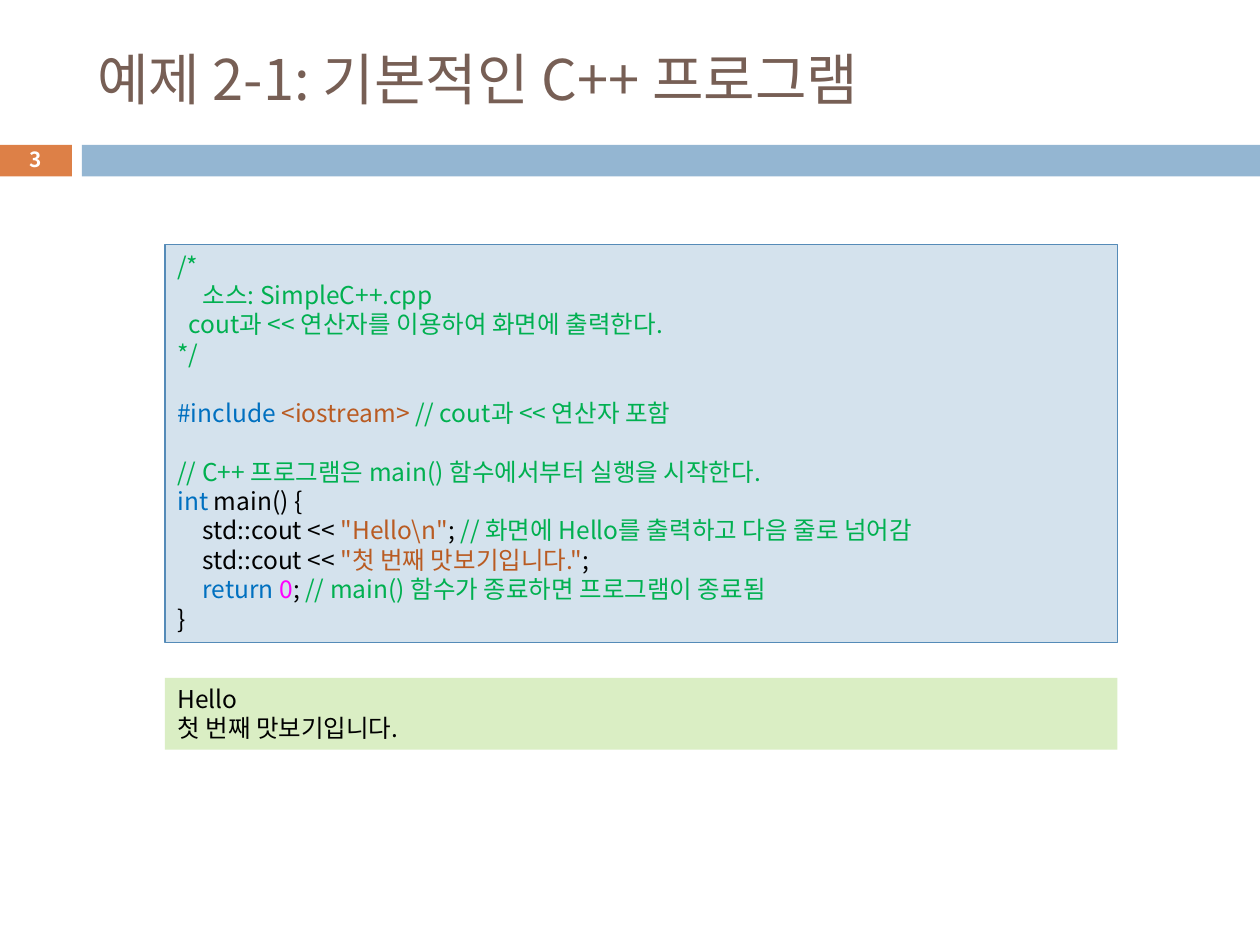
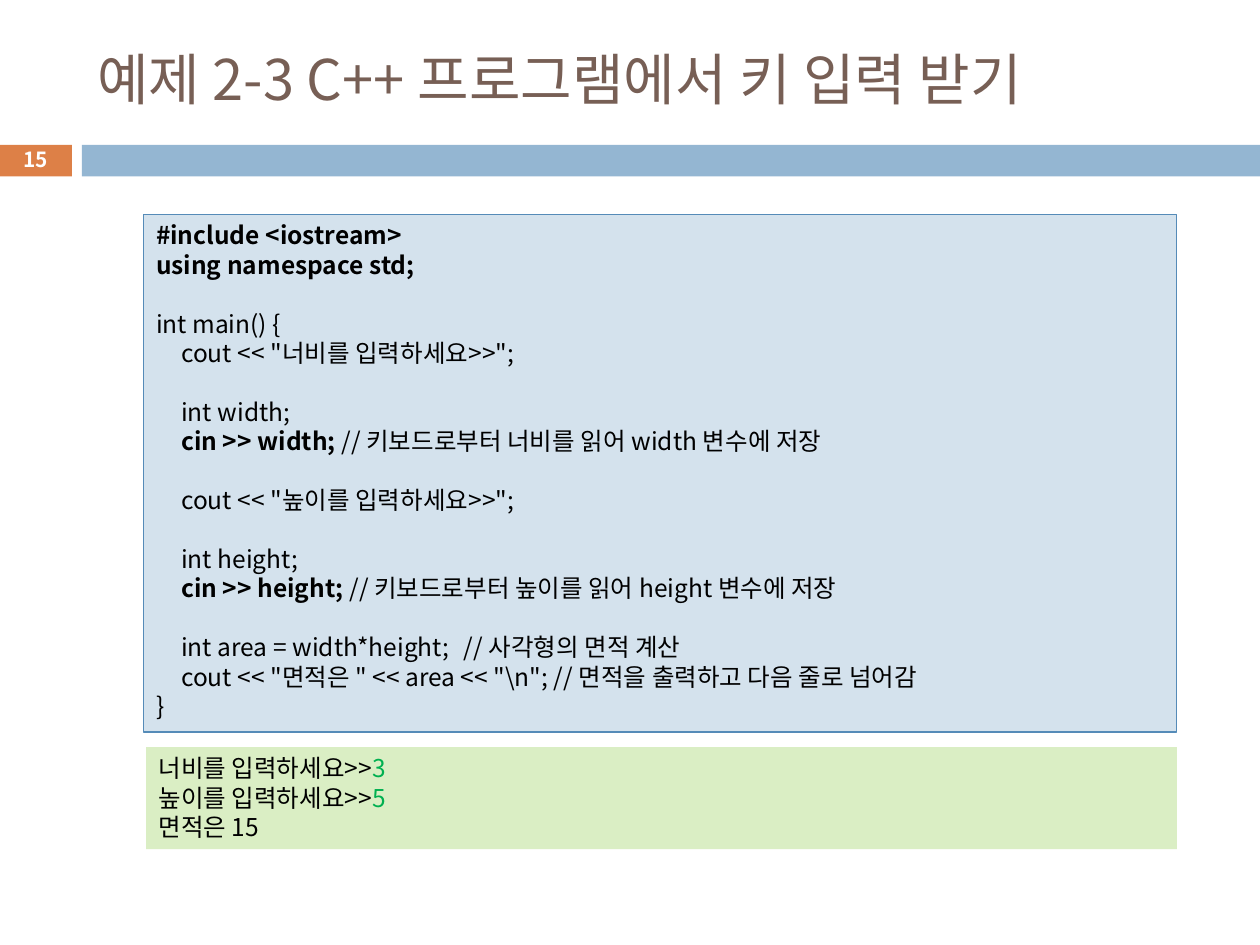
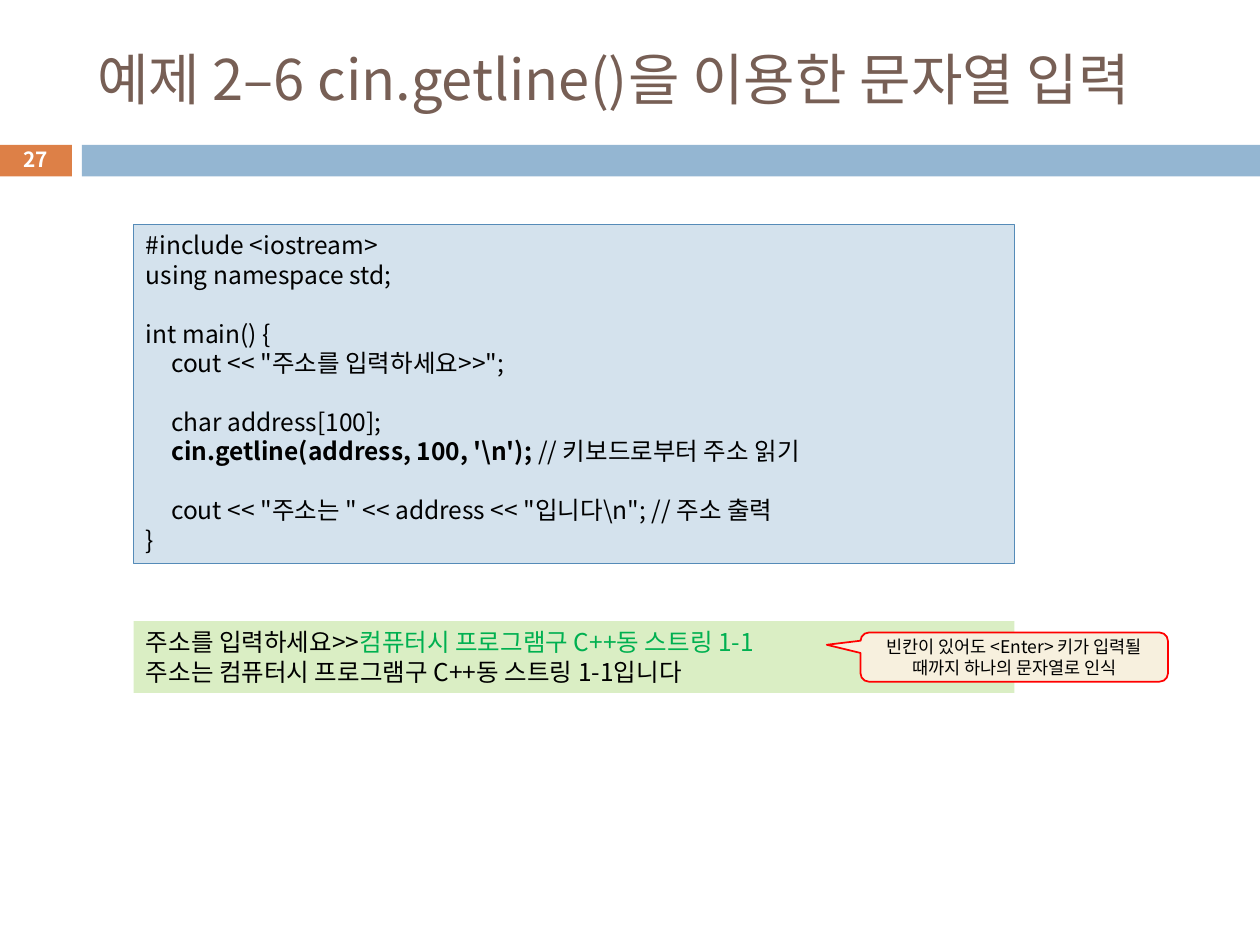
from lxml.etree import SubElement
from pptx import Presentation
from pptx.dml.color import RGBColor
from pptx.enum.shapes import MSO_SHAPE as SHAPE
from pptx.enum.text import MSO_ANCHOR as ANCHOR, MSO_AUTO_SIZE as AUTO, PP_ALIGN as ALIGN
from pptx.oxml.ns import qn
from pptx.util import Inches, Pt

FONT = "Noto Sans CJK KR"
BLACK, WHITE, TITLE = "000000", "FFFFFF", "775F55"
ORANGE, BAND = "DD8047", "94B6D2"
CODE_FILL, CODE_LINE, OUTPUT_FILL = "D4E2ED", "558BB8", "DAEEC4"
NOTE_FILL, NOTE_LINE = "F7F0DE", "FF0000"
GREEN, BLUE, BROWN, PINK = "00B050", "0070C0", "B95B22", "FF00FF"
CODE_SIZE, NOTE_SIZE, LINE_FACTOR = 14, 10, 1.2
TAB_STOPS = (0.2, 2.4)
SPACE_WIDTH = 0.045
BOLD = "bold"

BASIC_CODE = [
    [("/*", GREEN)],
    [("\t소스: SimpleC++.cpp", GREEN)],
    [("  cout과 << 연산자를 이용하여 화면에 출력한다.", GREEN)],
    [("*/", GREEN)],
    [],
    [("#include ", BLUE), ("<iostream> ", BROWN), ("// cout과 << 연산자 포함", GREEN)],
    [],
    [("// C++ 프로그램은 main() 함수에서부터 실행을 시작한다.", GREEN)],
    [("int ", BLUE), "main() {"],
    ["\tstd::cout << ", ("\"Hello\\n\"", BROWN), "; ",
     ("// 화면에 Hello를 출력하고 다음 줄로 넘어감", GREEN)],
    ["\tstd::cout << ", ("\"첫 번째 맛보기입니다.\"", BROWN), ";"],
    [("\treturn ", BLUE), ("0", PINK), "; ",
     ("// main() 함수가 종료하면 프로그램이 종료됨", GREEN)],
    ["}"],
]
BASIC_OUTPUT = [["Hello"], ["첫 번째 맛보기입니다."]]

INPUT_CODE = [
    [("#include <iostream>", BOLD)],
    [("using namespace std;", BOLD)],
    [],
    ["int main() {"],
    ["\tcout << \"너비를 입력하세요>>\";"],
    [],
    ["\tint width;"],
    [("\tcin >> width; ", BOLD), "// 키보드로부터 너비를 읽어 width 변수에 저장"],
    [],
    ["\tcout << \"높이를 입력하세요>>\";"],
    [],
    ["\tint height;"],
    [("\tcin >> height; ", BOLD), "// 키보드로부터 높이를 읽어 height 변수에 저장"],
    [],
    ["\tint area = width*height;\t // 사각형의 면적 계산"],
    ["\tcout << \"면적은 \" << area << \"\\n\"; // 면적을 출력하고 다음 줄로 넘어감"],
    ["}"],
]
INPUT_OUTPUT = [
    ["너비를 입력하세요>>", ("3", GREEN)],
    ["높이를 입력하세요>>", ("5", GREEN)],
    ["면적은 15"],
]

GETLINE_CODE = [
    ["#include <iostream>"],
    ["using namespace std;"],
    [],
    ["int main() {"],
    ["\tcout << \"주소를 입력하세요>>\";"],
    [],
    ["\tchar address[100];"],
    [("\tcin.getline(address, 100, '\\n'); ", BOLD), "// 키보드로부터 주소 읽기"],
    [],
    ["\tcout << \"주소는 \" << address << \"입니다\\n\"; // 주소 출력"],
    ["}"],
]
GETLINE_OUTPUT = [
    ["주소를 입력하세요>>", ("컴퓨터시 프로그램구 C++동 스트링 1-1", GREEN)],
    ["주소는 컴퓨터시 프로그램구 C++동 스트링 1-1입니다"],
]


def rgb(value):
    return RGBColor.from_string(value)


def apply(target, **values):
    for name, value in values.items():
        setattr(target, name, value)


def place(shape, box):
    names = ("left", "top", "width", "height")
    apply(shape, **dict(zip(names, map(Inches, box))))


def add_run(p, text, size, color=BLACK, bold=False):
    r = p.add_run()
    r.text = text
    apply(r.font, name=FONT, size=Pt(size), bold=bold)
    r.font.color.rgb = rgb(color)
    SubElement(r.font._element, qn("a:ea"), typeface=FONT)


def add_span(p, span, size):
    text, style = (span, BLACK) if isinstance(span, str) else span
    bold = style == BOLD
    add_run(p, text, size, BLACK if bold else style, bold)


def set_tabs(p):
    tabs = SubElement(p._p.get_or_add_pPr(), qn("a:tabLst"))
    for stop in TAB_STOPS:
        SubElement(tabs, qn("a:tab"), pos=str(Inches(stop)), algn="l")


def set_indent(p, width):
    pPr = p._p.get_or_add_pPr()
    pPr.set("marL", str(Inches(width)))
    pPr.set("indent", "0")


def fill_lines(tf, lines):
    pitch = CODE_SIZE * LINE_FACTOR
    p, gap = tf.paragraphs[0], 0
    for i, spans in enumerate(lines):
        if not spans:
            gap += pitch
            continue
        if i:
            p = tf.add_paragraph()
        apply(p, alignment=ALIGN.LEFT, line_spacing=Pt(pitch), space_before=Pt(gap))
        set_tabs(p)
        gap = 0
        first = spans[0] if isinstance(spans[0], str) else spans[0][0]
        spaces = len(first) - len(first.lstrip(" "))
        if spaces:
            set_indent(p, spaces * SPACE_WIDTH)
            spans = [(first.lstrip(" "), spans[0][1]), *spans[1:]]
        for span in spans:
            add_span(p, span, CODE_SIZE)


def add_box(s, box, fill, line=None, width=0.75, kind=SHAPE.RECTANGLE):
    sp = s.shapes.add_shape(kind, *map(Inches, box))
    sp.shadow.inherit = False
    sp.fill.solid()
    sp.fill.fore_color.rgb = rgb(fill)
    if line:
        sp.line.color.rgb = rgb(line)
        sp.line.width = Pt(width)
    else:
        sp.line.fill.background()
    return sp


def add_listing(s, box, lines, fill, line=None):
    tf = add_box(s, box, fill, line).text_frame
    apply(tf, word_wrap=True, vertical_anchor=ANCHOR.TOP)
    fill_lines(tf, lines)


def add_code(s, box, lines):
    add_listing(s, box, lines, CODE_FILL, CODE_LINE)


def add_output(s, box, lines):
    add_listing(s, box, lines, OUTPUT_FILL)


def add_callout(s, box, text, adjustments):
    sp = add_box(s, box, NOTE_FILL, NOTE_LINE, 1, SHAPE.ROUNDED_RECTANGULAR_CALLOUT)
    for i, value in enumerate(adjustments):
        sp.adjustments[i] = value
    tf = sp.text_frame
    apply(tf, word_wrap=True, vertical_anchor=ANCHOR.MIDDLE)
    p = tf.paragraphs[0]
    apply(p, alignment=ALIGN.CENTER, line_spacing=Pt(NOTE_SIZE * LINE_FACTOR))
    add_run(p, text, NOTE_SIZE)


def add_number(s, number):
    tf = s.shapes.add_textbox(*map(Inches, (-0.01, 1.13, 0.58, 0.27))).text_frame
    apply(tf, word_wrap=True, vertical_anchor=ANCHOR.MIDDLE, margin_top=0, margin_bottom=0)
    p = tf.paragraphs[0]
    p.alignment = ALIGN.CENTER
    add_run(p, str(number), 11.9, WHITE, True)


def add_slide(prs, title, number):
    s = prs.slides.add_slide(prs.slide_layouts[5])
    add_box(s, (-0.01, 1.15, 0.58, 0.25), ORANGE)
    add_box(s, (0.65, 1.15, 9.35, 0.25), BAND)
    place(s.shapes.title, (0.67, 0.25, 8.92, 0.74))
    tf = s.shapes.title.text_frame
    apply(tf, word_wrap=True, vertical_anchor=ANCHOR.MIDDLE, auto_size=AUTO.NONE)
    p = tf.paragraphs[0]
    p.alignment = ALIGN.LEFT
    add_run(p, title, 32, TITLE)
    add_number(s, number)
    return s


def main():
    prs = Presentation()
    apply(prs, slide_width=Inches(10), slide_height=Inches(7.5))

    s = add_slide(prs, "예제 2-1: 기본적인 C++ 프로그램", 3)
    add_code(s, (1.31, 1.94, 7.56, 3.16), BASIC_CODE)
    add_output(s, (1.31, 5.38, 7.56, 0.57), BASIC_OUTPUT)

    s = add_slide(prs, "예제 2-3 C++ 프로그램에서 키 입력 받기", 15)
    add_code(s, (1.14, 1.7, 8.2, 4.11), INPUT_CODE)
    add_output(s, (1.16, 5.93, 8.18, 0.81), INPUT_OUTPUT)

    s = add_slide(prs, "예제 2–6 cin.getline()을 이용한 문자열 입력", 27)
    add_output(s, (1.06, 4.93, 6.99, 0.57), GETLINE_OUTPUT)
    add_code(s, (1.06, 1.78, 6.99, 2.69), GETLINE_CODE)
    add_callout(s, (6.83, 5.02, 2.44, 0.39),
                "빈칸이 있어도 <Enter> 키가 입력될 때까지 하나의 문자열로 인식",
                (-0.61, -0.25, 0.17))

    prs.save("out.pptx")


if __name__ == "__main__":
    main()
